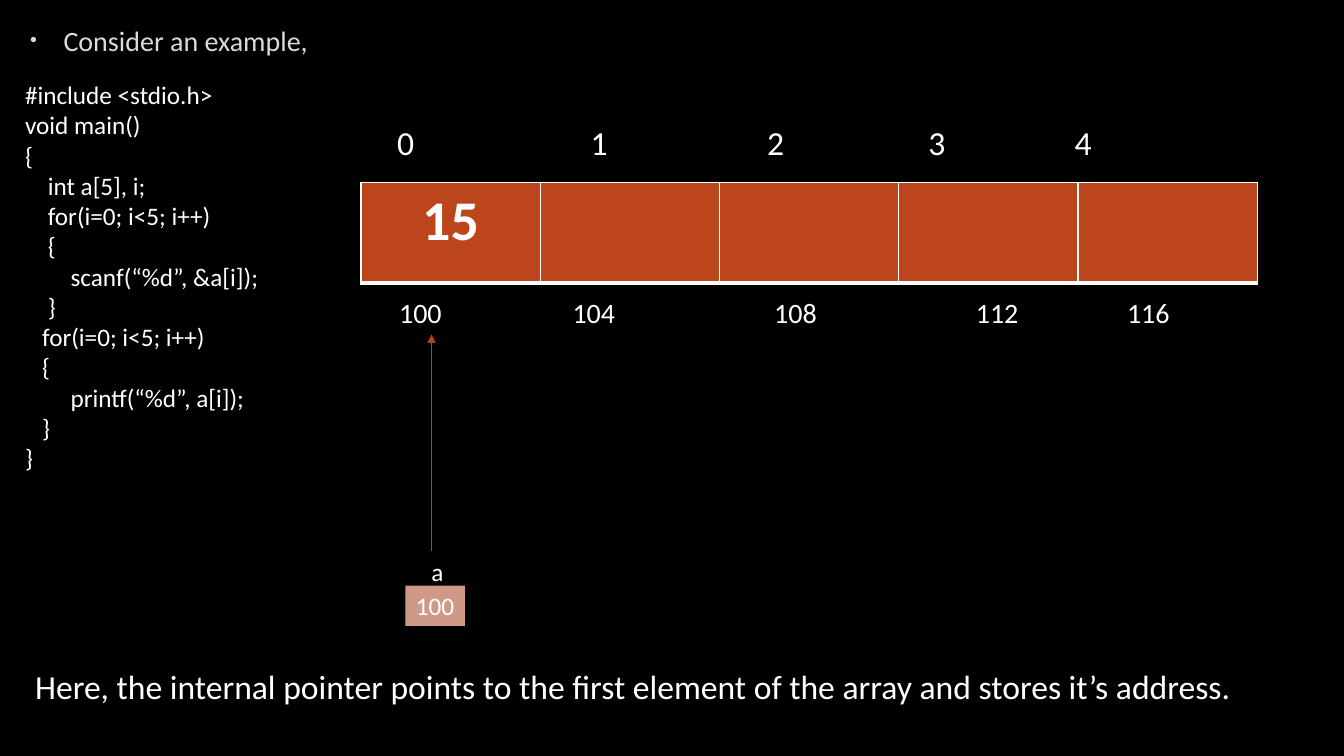
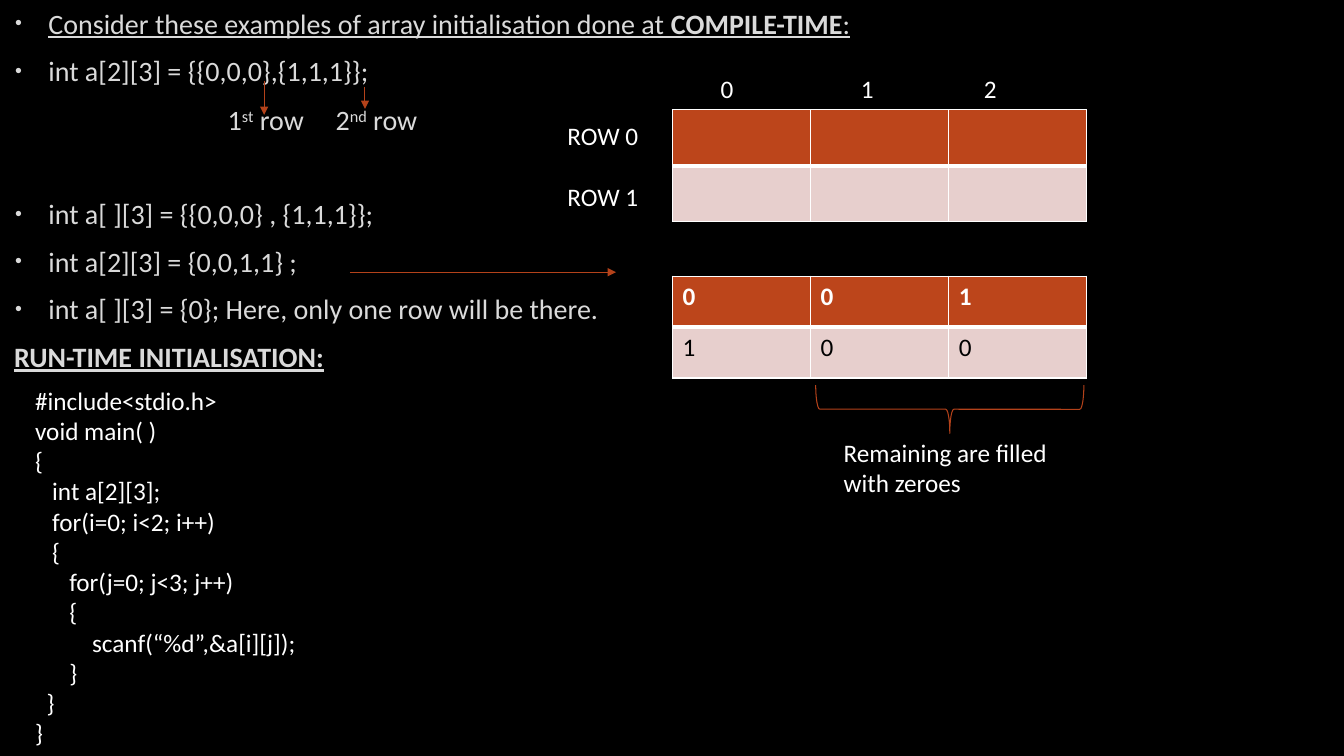
from lxml import etree
from pptx import Presentation
from pptx import util as u
from pptx.dml.color import RGBColor
from pptx.enum import shapes, text
from pptx.oxml import ns

BLACK = RGBColor(0x00, 0x00, 0x00)
WHITE = RGBColor(0xFF, 0xFF, 0xFF)
GREY = RGBColor(0xDA, 0xDA, 0xDA)
RUST = RGBColor(0xBC, 0x45, 0x1B)
ARROW = RGBColor(0xB4, 0x42, 0x1A)
PINK = RGBColor(0xE7, 0xCF, 0xCD)
SALMON = RGBColor(0xCF, 0x99, 0x88)
FONT = "Calibri"
SPACE = 0.0565  # width in inches of one space at 18 pt

READ_ARRAY = """\
#include <stdio.h>
void main()
{
    int a[5], i;
    for(i=0; i<5; i++)
    {
        scanf(“%d”, &a[i]);
    }
   for(i=0; i<5; i++)
   {
        printf(“%d”, a[i]);
   }
}"""

READ_MATRIX = """\
#include<stdio.h>
void main( )
{
   int a[2][3];
   for(i=0; i<2; i++)
   {
      for(j=0; j<3; j++)
      {
          scanf(“%d”,&a[i][j]);
      }
  }
}"""


def child(parent, tag, **attrs):
    el = etree.SubElement(parent, ns.qn(tag))
    for name, value in attrs.items():
        el.set(name, str(value))
    return el


def write(p, words, size=18, color=WHITE, bold=False, underline=False, raised=False):
    r = p.add_run()
    r.text = words
    f = r.font
    f.name, f.size, f.bold, f.underline = FONT, u.Pt(size), bold, underline
    f.color.rgb = color
    if raised:
        r._r.get_or_add_rPr().set("baseline", "30000")


def set_tabs(p, stops):
    tabs = child(p._p.get_or_add_pPr(), "a:tabLst")
    for stop in stops:
        child(tabs, "a:tab", pos=u.Inches(stop), algn="l")


def set_indent(p, left, first=0):
    pPr = p._p.get_or_add_pPr()
    pPr.set("marL", str(u.Inches(left)))
    pPr.set("indent", str(u.Inches(first)))


def set_borders(cell, **widths):
    tcPr = cell._tc.get_or_add_tcPr()
    for side in "LRTB":
        ln = child(tcPr, f"a:ln{side}", w=u.Pt(widths.get(side, 1)))
        child(child(ln, "a:solidFill"), "a:srgbClr", val=WHITE)


class Deck:
    """Holds the shared style and the slide being built."""

    def __init__(self):
        self.prs = Presentation()
        self.prs.slide_width, self.prs.slide_height = u.Inches(13.33), u.Inches(7.5)
        fill = self.prs.slide_master.background.fill
        fill.solid()
        fill.fore_color.rgb = BLACK

    def slide(self, *box):
        """Start a slide whose body placeholder fills the given box."""
        self.s = self.prs.slides.add_slide(self.prs.slide_layouts[1])
        title = self.s.shapes.title._element
        title.getparent().remove(title)
        sp = self.s.placeholders[1]
        sp.left, sp.top, sp.width, sp.height = map(u.Inches, box)
        self.body = sp.text_frame
        self.body.auto_size = text.MSO_AUTO_SIZE.NONE
        self.started = False

    def point(self, *runs, bullet=True, before=None, **fmt):
        """Add a body paragraph; a run is a string or a (string, format) pair."""
        p = self.body.add_paragraph() if self.started else self.body.paragraphs[0]
        self.started = True
        p.space_after = u.Pt(6)
        if before:
            p.space_before = u.Pt(before)
        pPr = p._p.get_or_add_pPr()
        if bullet:
            set_indent(p, 0.38, -0.33)
            child(child(pPr, "a:buClr"), "a:srgbClr", val=GREY)
            child(pPr, "a:buSzPct", val=70000)
            child(pPr, "a:buChar", char="•")
        else:
            set_indent(p, 0.04)
            child(pPr, "a:buNone")
        for run in runs:
            words, extra = (run, {}) if isinstance(run, str) else run
            write(p, words, **{"size": 20, "color": GREY, **fmt, **extra})

    def label(self, words, x, y, w, h, wrap=True, gap=0, **fmt):
        """Add a text box with one paragraph per line, gap points apart."""
        tf = self.s.shapes.add_textbox(*map(u.Inches, (x, y, w, h))).text_frame
        tf.word_wrap = wrap
        for i, line in enumerate(words.split("\n")):
            p = tf.add_paragraph() if i else tf.paragraphs[0]
            if i and gap:
                p.space_before = u.Pt(gap)
            write(p, line, **fmt)
        return tf

    def ordinal(self, number, suffix, noun, *box, **fmt):
        """Add a label such as "1st row" with its suffix raised."""
        p = self.label(number, *box, **fmt).paragraphs[0]
        write(p, suffix, raised=True, **fmt)
        write(p, f" {noun}", **fmt)

    def row(self, words, lefts, x, y, w, h, **fmt):
        """Add one line whose words start at the given slide positions."""
        tf = self.label("".join("\t" + word for word in words), x, y, w, h, **fmt)
        set_tabs(tf.paragraphs[0], [left - x - 0.1 for left in lefts])

    def code(self, listing, *box):
        """Add a listing, turning leading spaces into paragraph indents."""
        lines = listing.split("\n")
        tf = self.label("\n".join(line.strip() for line in lines), *box)
        for p, line in zip(tf.paragraphs, lines):
            set_indent(p, SPACE * (len(line) - len(line.lstrip())))

    def shape(self, kind, *box, fill=None, line=None, rotation=0):
        sp = self.s.shapes.add_shape(kind, *map(u.Inches, box))
        sp.shadow.inherit = False
        sp.rotation = rotation
        if fill:
            sp.fill.solid()
            sp.fill.fore_color.rgb = fill
        else:
            sp.fill.background()
        if line:
            sp.line.color.rgb, sp.line.width = line, u.Pt(0.75)
        else:
            sp.line.fill.background()
        return sp

    def arrow(self, *ends):
        c = self.s.shapes.add_connector(shapes.MSO_CONNECTOR.STRAIGHT, *map(u.Inches, ends))
        c.line.color.rgb, c.line.width = ARROW, u.Pt(0.75)
        child(c.line._get_or_add_ln(), "a:tailEnd", type="triangle")
        child(c._element.spPr, "a:effectLst")

    def table(self, rows, x, y, w, h, size=18, align=None):
        """Add a grid with a rust first row and pink rows below it."""
        frame = self.s.shapes.add_table(len(rows), len(rows[0]), *map(u.Inches, (x, y, w, h)))
        for i, values in enumerate(rows):
            for j, value in enumerate(values):
                cell = frame.table.cell(i, j)
                set_borders(cell, **({"T": 3} if i else {"B": 3}))
                cell.fill.solid()
                cell.fill.fore_color.rgb = PINK if i else RUST
                if value:
                    p = cell.text_frame.paragraphs[0]
                    p.alignment = align
                    write(p, value, size=size, bold=not i, color=BLACK if i else WHITE)


def build_pointer_slide(d):
    d.slide(0.15, 0.18, 13.08, 7.17)
    d.point("Consider an example,")
    d.code(READ_ARRAY, 0.15, 0.74, 2.98, 4.34)
    d.table([["15", "", "", "", ""]], 3.58, 1.81, 8.89, 1, size=40, align=text.PP_ALIGN.CENTER)
    d.row("01234", (3.94, 5.86, 7.61, 9.21, 10.66), 3.24, 1.16, 9.15, 0.5, size=24)
    addresses = [str(100 + 4 * i) for i in range(5)]
    d.row(addresses, (3.96, 5.68, 7.68, 9.68, 11.18), 3.58, 2.88, 8.81, 0.44, size=20)
    d.arrow(4.28, 5.47, 4.28, 3.32)
    sp = d.shape(shapes.MSO_SHAPE.RECTANGLE, 4.02, 5.81, 0.59, 0.4, fill=SALMON)
    sp.text_frame.word_wrap = False
    p = sp.text_frame.paragraphs[0]
    p.alignment = text.PP_ALIGN.CENTER
    write(p, "100")
    d.label("a", 4.18, 5.47, 0.26, 0.4, wrap=False)
    d.label("Here, the internal pointer points to the first element of the array "
            "and stores it’s address.", 0.25, 6.56, 12.42, 0.5, wrap=False, size=24)


def build_initialisation_slide(d):
    d.slide(0, 0.01, 13.33, 7.27)
    d.point("Consider these examples of array initialisation done at ",
            ("COMPILE-TIME", {"bold": True}), ":", underline=True)
    d.point("int a[2][3] = {{0,0,0},{1,1,1}};")
    d.point("int a[ ][3] = {{0,0,0} , {1,1,1}};", before=72)
    d.point("int a[2][3] = {0,0,1,1} ;")
    d.point("int a[ ][3] = {0}; Here, only one row will be there.")
    d.point("RUN-TIME INITIALISATION:", bullet=False, bold=True, underline=True)
    for number, suffix, left in (("1", "st", 2.16), ("2", "nd", 3.23)):
        d.ordinal(number, suffix, "row", left, 0.97, 1.05, 0.44, size=20, color=GREY)
    d.arrow(2.62, 0.8, 2.62, 1.14)
    d.arrow(3.62, 0.86, 3.62, 1.08)
    d.table([[""] * 3] * 2, 6.67, 1.09, 4.11, 1.11)
    d.label("ROW 0\nROW 1", 5.53, 1.14, 1.46, 1.01, gap=22)
    d.row("012", (7.15, 8.54, 9.76), 6.67, 0.68, 4.11, 0.4)
    d.arrow(3.47, 2.7, 6.11, 2.7)
    d.table(["001", "100"], 6.67, 2.74, 4.11, 1.01)
    d.shape(shapes.MSO_SHAPE.RIGHT_BRACE, 9.18, 2.73, 0.48, 2.66, line=ARROW, rotation=90)
    d.label("Remaining are filled with zeroes", 8.27, 4.29, 2.56, 0.71)
    d.code(READ_MATRIX, 0.25, 3.77, 4.29, 3.74)


def main():
    d = Deck()
    build_pointer_slide(d)
    build_initialisation_slide(d)
    d.prs.save("out.pptx")


if __name__ == "__main__":
    main()
